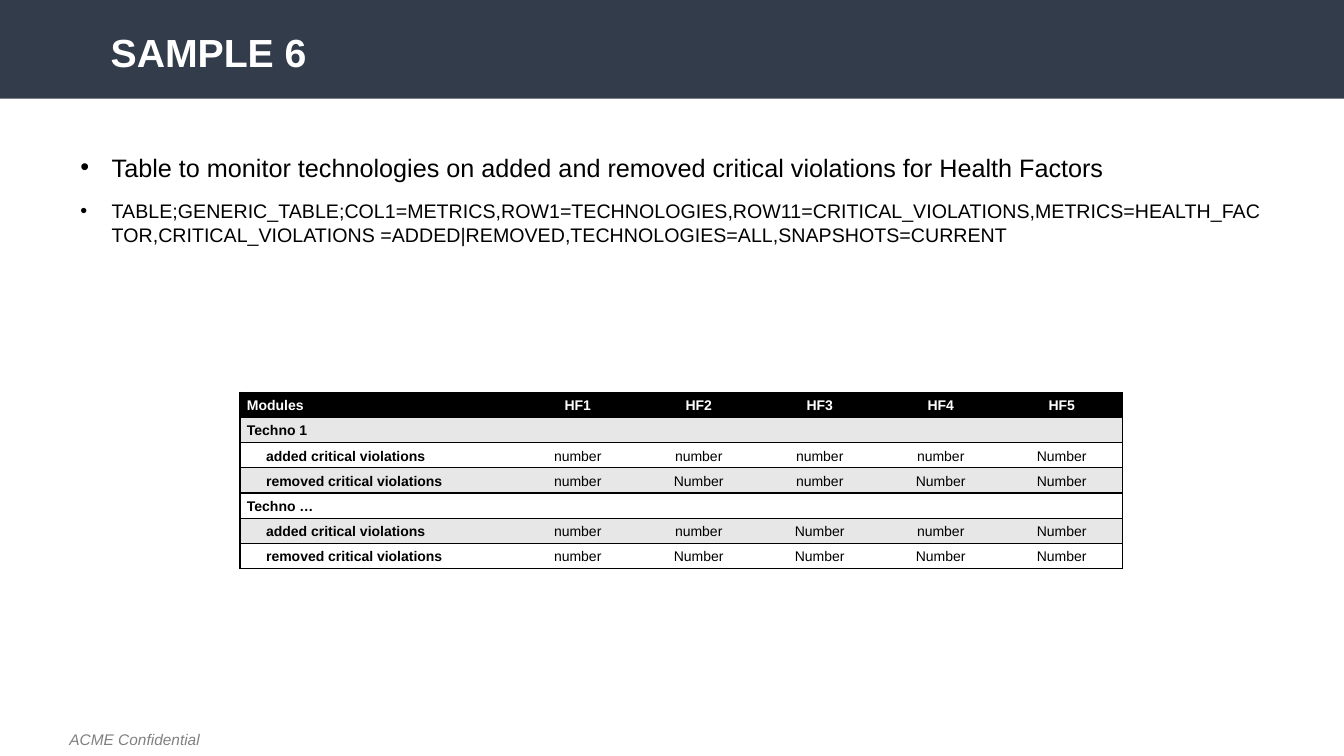
from lxml import etree
from pptx import Presentation
from pptx import util as u
from pptx.dml import color
from pptx.enum import shapes, text
from pptx.oxml import ns

COLORS = {"banner": "323C4B", "white": "FFFFFF", "black": "000000", "band": "E7E7E7", "footer": "808080"}
FONT = "Arial"
HEADER = ["Modules", "HF1", "HF2", "HF3", "HF4", "HF5"]
ADDED, REMOVED = "added critical violations", "removed critical violations"
ROWS = [
    HEADER,
    ["Techno 1"] + [""] * 5,
    [ADDED, "number", "number", "number", "number", "Number"],
    [REMOVED, "number", "Number", "number", "Number", "Number"],
    ["Techno …"] + [""] * 5,
    [ADDED, "number", "number", "Number", "number", "Number"],
    [REMOVED, "number", "Number", "Number", "Number", "Number"],
]
BULLETS = [
    ("Table to monitor technologies on added and removed critical violations for Health Factors", 18),
    ("TABLE;GENERIC_TABLE;COL1=METRICS,ROW1=TECHNOLOGIES,ROW11=CRITICAL_VIOLATIONS,"
     "METRICS=HEALTH_FACTOR,CRITICAL_VIOLATIONS =ADDED|REMOVED,TECHNOLOGIES=ALL,SNAPSHOTS=CURRENT", 14),
]


def rgb(name):
    """Return the named palette colour."""
    return color.RGBColor.from_string(COLORS[name])


def style(para, size, shade, bold=False, italic=False):
    """Format every run of a paragraph."""
    for span in para.runs:
        span.font.name, span.font.size = FONT, u.Pt(size)
        span.font.bold, span.font.italic = bold, italic
        span.font.color.rgb = rgb(shade)


def add_text(page, box, lines):
    """Add a wrapping text box with one paragraph per line and return its frame."""
    frame = page.shapes.add_textbox(*map(u.Inches, box)).text_frame
    frame.word_wrap = True
    frame.text = "\n".join(lines)
    return frame


def add_banner(page, box, title):
    """Draw the dark band and its title."""
    left, top, width, height = box
    band = page.shapes.add_shape(shapes.MSO_SHAPE.RECTANGLE, *map(u.Inches, box))
    band.shadow.inherit = False
    band.fill.solid()
    band.fill.fore_color.rgb = rgb("banner")
    band.line.fill.background()
    frame = add_text(page, (left + 1, top + 0.28, width - 1.83, 0.44), [title])
    frame.paragraphs[0].line_spacing = 0.9
    style(frame.paragraphs[0], 28, "white", bold=True)


def add_bullets(page, box, bullets):
    """Write the bulleted description."""
    frame = add_text(page, box, [line for line, size in bullets])
    for para, (line, size) in zip(frame.paragraphs, bullets):
        para.space_before = u.Pt(12)
        style(para, size, "black")
        layout = para._p.get_or_add_pPr()
        layout.set("marL", str(u.Inches(0.31)))
        layout.set("indent", str(u.Inches(-0.31)))
        etree.SubElement(layout, ns.qn("a:buFont"), typeface=FONT)
        etree.SubElement(layout, ns.qn("a:buChar"), char="•")


def add_border(cell, side, visible):
    """Draw a black one-point border on one side of a cell, or clear it."""
    line = etree.SubElement(cell._tc.get_or_add_tcPr(), ns.qn(f"a:ln{side}"), w=str(u.Pt(1) if visible else 0))
    if visible:
        fill = etree.SubElement(line, ns.qn("a:solidFill"))
        etree.SubElement(fill, ns.qn("a:srgbClr"), val=COLORS["black"])
    else:
        etree.SubElement(line, ns.qn("a:noFill"))


def fill_cell(cell, value, row, column):
    """Write and format one table cell according to its row and column."""
    is_header, is_label, is_last = row == 0, column == 0, column == len(HEADER) - 1
    for side, visible in (("L", is_label), ("R", is_last), ("T", True), ("B", True)):
        add_border(cell, side, visible)
    cell.fill.solid()
    cell.fill.fore_color.rgb = rgb("black" if is_header else "band" if row % 2 else "white")
    cell.vertical_anchor = text.MSO_ANCHOR.MIDDLE
    cell.margin_left = u.Inches(0.26 if value in (ADDED, REMOVED) else 0.07)
    cell.margin_right = u.Inches(0.07)
    cell.margin_top = cell.margin_bottom = 0
    cell.text_frame.text = value
    para = cell.text_frame.paragraphs[0]
    para.line_spacing = 1.15
    para.alignment = text.PP_ALIGN.LEFT if is_label else text.PP_ALIGN.CENTER
    style(para, 10, "white" if is_header else "black", bold=is_header or is_label)
    if not value:
        etree.SubElement(para._p, ns.qn("a:endParaRPr"), sz="1000")


def add_violations(page, box, rows):
    """Build the table of violations by technology and health factor."""
    table = page.shapes.add_table(len(rows), len(HEADER), *map(u.Inches, box)).table
    label_width = 2.75
    for index, column in enumerate(table.columns):
        column.width = u.Inches((box[2] - label_width) / (len(HEADER) - 1) if index else label_width)
    for row, values in enumerate(rows):
        table.rows[row].height = u.Inches(box[3] / len(rows))
        for column, value in enumerate(values):
            fill_cell(table.cell(row, column), value, row, column)


def add_footer(page, box, label):
    """Write the confidentiality label."""
    frame = add_text(page, box, [label])
    frame.vertical_anchor = text.MSO_ANCHOR.MIDDLE
    style(frame.paragraphs[0], 11, "footer", italic=True)


def main():
    """Build and save the slide."""
    deck = Presentation()
    deck.slide_width, deck.slide_height = u.Inches(13.33), u.Inches(7.5)
    page = deck.slides.add_slide(deck.slide_layouts[6])
    add_banner(page, (0, 0, 13.33, 0.98), "SAMPLE 6")
    add_footer(page, (0.59, 7.19, 1.8, 0.29), "ACME Confidential")
    add_bullets(page, (0.7, 1.46, 11.96, 4.76), BULLETS)
    add_violations(page, (2.38, 3.89, 8.75, 1.75), ROWS)
    deck.save("out.pptx")


main()
